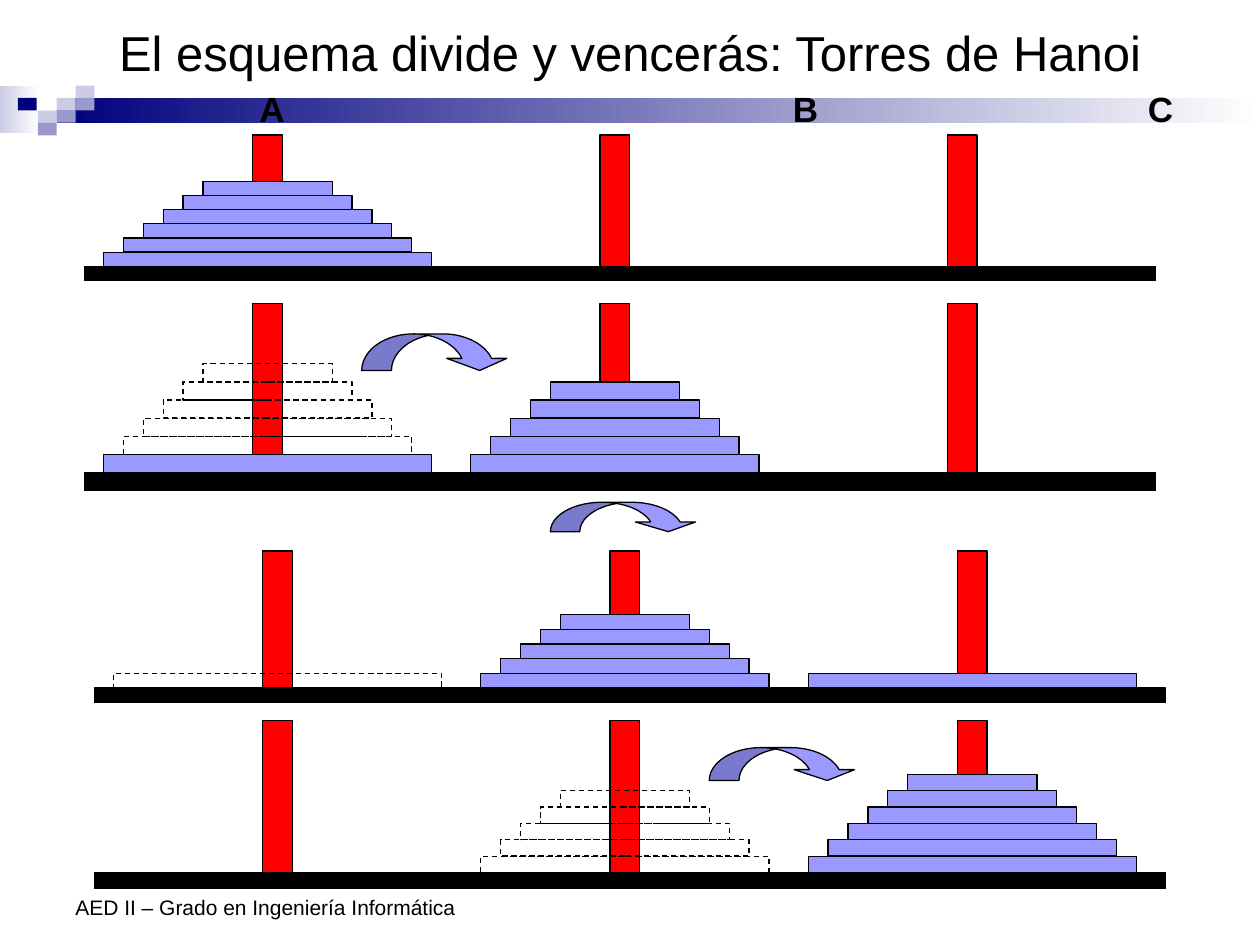
"""Builds a slide on the Towers of Hanoi, solved by divide and conquer."""
from lxml.etree import SubElement
from pptx import Presentation
from pptx.dml.color import RGBColor
from pptx.enum.dml import MSO_LINE
from pptx.enum.shapes import MSO_SHAPE
from pptx.enum.text import MSO_ANCHOR, PP_ALIGN
from pptx.oxml.ns import qn
from pptx.util import Pt

TITLE = "El esquema divide y vencerás: Torres de Hanoi"
FOOTER = "AED II – Grado en Ingeniería Informática"
PEGS = ["A", "B", "C"]
TABS = [304.8, 507.6]

BLACK, RED, DISK, NAVY = "000000", "FF0000", "9999FF", "00007D"
PALE, MID, WHITE = "CCCCE6", "9999CC", "FFFFFF"

BANDS = [(0, 48.9, 22.3, 27.4, PALE), (32.4, 56, 687.6, 14.2, NAVY)]
TILES = [(32.4, 56, PALE), (43.2, 48.9, PALE), (43.2, 56, MID),
         (21.6, 63.3, PALE), (10.2, 56, NAVY), (32.4, 63, MID),
         (21.6, 70.3, MID)]

ALL, BIG, REST = range(6), range(1), range(1, 6)
NONE = range(0)
STEPS = [
    dict(base=152.2, thick=8.1, top=77.2, shift=0,
         disks=[ALL, NONE, NONE], ghosts=[NONE, NONE, NONE], arrow=None),
    dict(base=270, thick=10.35, top=173.4, shift=0,
         disks=[BIG, REST, NONE], ghosts=[REST, NONE, NONE],
         arrow=(206.7, 190.8, 20.9)),
    dict(base=393.2, thick=8.4, top=314.9, shift=5.7,
         disks=[NONE, REST, BIG], ghosts=[BIG, NONE, NONE],
         arrow=(314.5, 287, 16.8)),
    dict(base=498.6, thick=9.35, top=411.7, shift=5.7,
         disks=[NONE, NONE, ALL], ghosts=[NONE, REST, NONE],
         arrow=(405.3, 427.2, 18.8)),
]
LEFT, SPAN = 48.2, 612.3
FIRST, GAP, POLE = 152.9, 198.5, 17
WIDE, TRIM = 187.4, 22.7
SWEEP, BAND, HEAD = 84.6, 17, 34.4

deck = Presentation()
deck.slide_width, deck.slide_height = Pt(720), Pt(540)
slide = deck.slides.add_slide(deck.slide_layouts[6])


def color(code):
    """Turns a hex string into a colour."""
    return RGBColor.from_string(code)


def block(x, y, w, h, fill=None, line=BLACK, dash=False, kind=MSO_SHAPE.RECTANGLE):
    """Adds a preset shape, hollow when it has no fill."""
    shape = slide.shapes.add_shape(kind, Pt(x), Pt(y), Pt(w), Pt(h))
    shape.shadow.inherit = False
    if fill:
        shape.fill.solid()
        shape.fill.fore_color.rgb = color(fill)
    else:
        shape.fill.background()
    if line:
        shape.line.color.rgb = color(line)
        shape.line.width = Pt(0.75)
    else:
        shape.line.fill.background()
    if dash:
        shape.line.dash_style = MSO_LINE.DASH
    return shape


def write(text, x, y, w, h, size=12, bold=False, align=PP_ALIGN.LEFT,
          anchor=MSO_ANCHOR.TOP, pad=(7.2, 3.6), tabs=()):
    """Adds a text box of one paragraph."""
    frame = slide.shapes.add_textbox(Pt(x), Pt(y), Pt(w), Pt(h)).text_frame
    frame.word_wrap = True
    frame.vertical_anchor = anchor
    frame.margin_left = frame.margin_right = Pt(pad[0])
    frame.margin_top = frame.margin_bottom = Pt(pad[1])
    para = frame.paragraphs[0]
    para.alignment = align
    if tabs:
        stops = SubElement(para._p.get_or_add_pPr(), qn("a:tabLst"))
        for pos in tabs:
            SubElement(stops, qn("a:tab"), pos=str(int(Pt(pos))), algn="l")
    run = para.add_run()
    run.text = text
    run.font.name, run.font.size, run.font.bold = "Arial", Pt(size), bold
    run.font.color.rgb = color(BLACK)


def stack(step, mid, disks, floor, **look):
    """Piles disks on a peg and returns the top of the pile."""
    for disk in disks:
        floor -= step["thick"]
        wide = WIDE - TRIM * disk
        block(mid - wide / 2, floor, wide, step["thick"], **look)
    return floor


def draw(step):
    """Draws one step of the solution."""
    base, top, shift = step["base"], step["top"], step["shift"]
    block(LEFT + shift, base, SPAN, step["thick"], BLACK)
    mids = [FIRST + shift + GAP * peg for peg in range(len(PEGS))]
    ends = []
    for mid, disks in zip(mids, step["disks"]):
        end = stack(step, mid, disks, base, fill=DISK)
        block(mid - POLE / 2, top, POLE, end - top, RED)
        ends.append(end)
    for mid, ghosts, end in zip(mids, step["ghosts"], ends):
        stack(step, mid, ghosts, end, dash=True)
    if step["arrow"]:
        x, y, high = step["arrow"]
        arrow = block(x, y, SWEEP, high, DISK, kind=MSO_SHAPE.CURVED_DOWN_ARROW)
        for spot, ratio in enumerate((BAND / high, HEAD / high, 0.33)):
            arrow.adjustments[spot] = ratio


for x, y, w, h, start in BANDS:
    fill = block(x, y, w, h, line=None).fill
    fill.gradient()
    fill.gradient_angle = 0
    for stop, code, pos in zip(fill.gradient_stops, (start, WHITE), (0, 1)):
        stop.color.rgb, stop.position = color(code), pos
for x, y, code in TILES:
    block(x, y, 10.8, 7.1, code, line=None)

write(TITLE, 36, 3.6, 648, 52.6, size=28, align=PP_ALIGN.CENTER,
      anchor=MSO_ANCHOR.MIDDLE)
write("\t".join(PEGS), 148.3, 49.9, 535, 24, size=20, bold=True,
      pad=(0, 0), tabs=TABS)
for step in STEPS:
    draw(step)
write(FOOTER, 36, 491.8, 324, 37.4, anchor=MSO_ANCHOR.BOTTOM)

deck.save("out.pptx")
